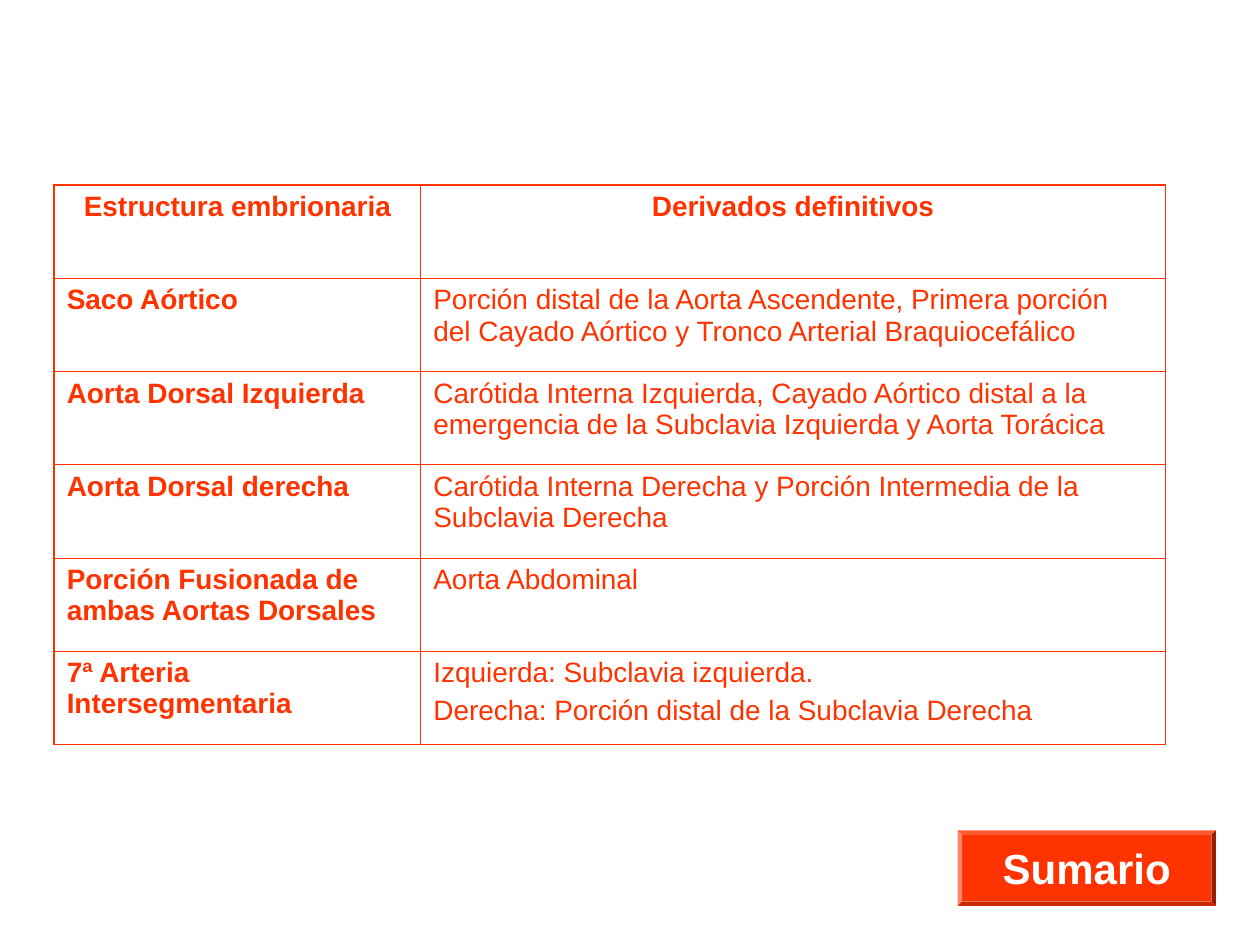
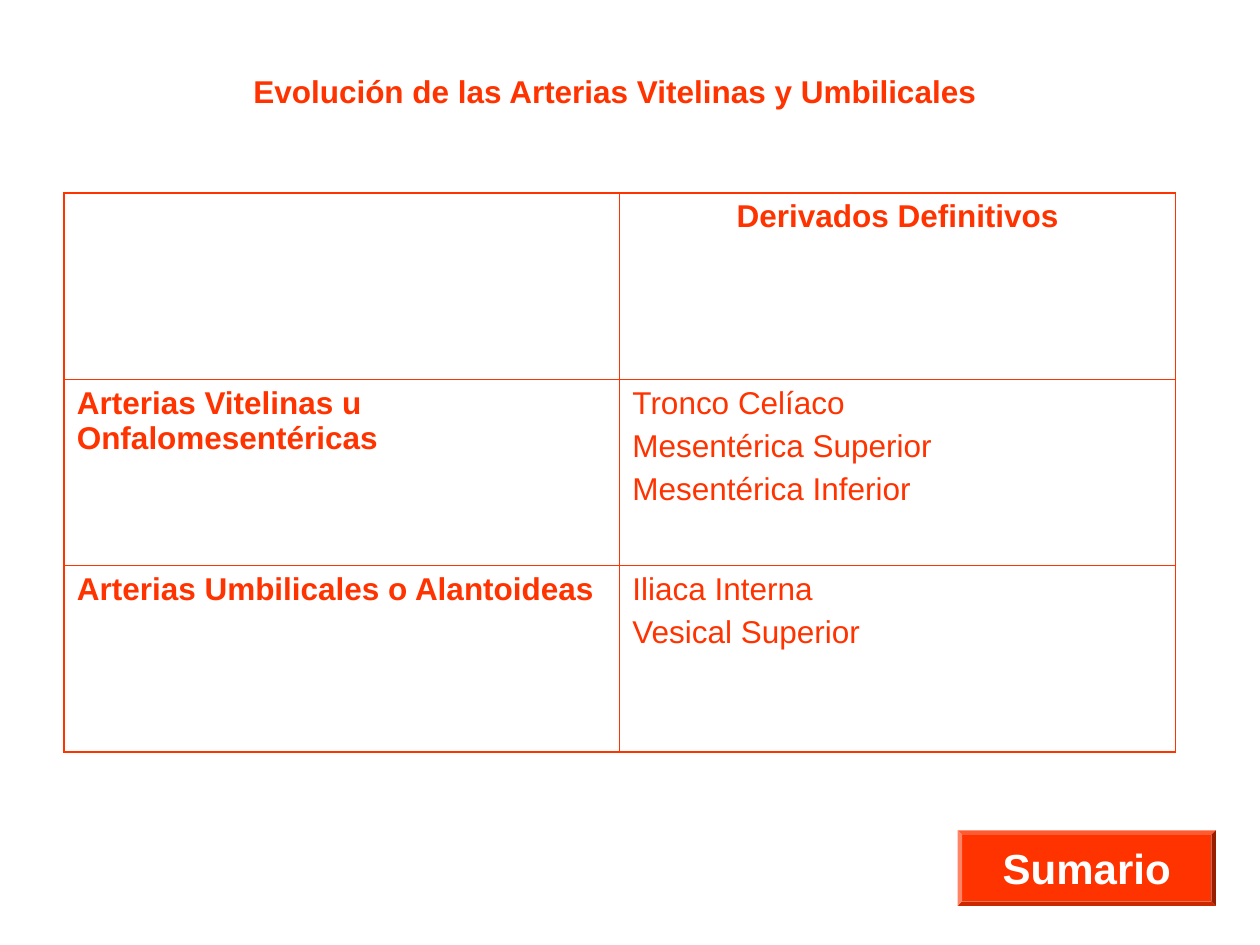
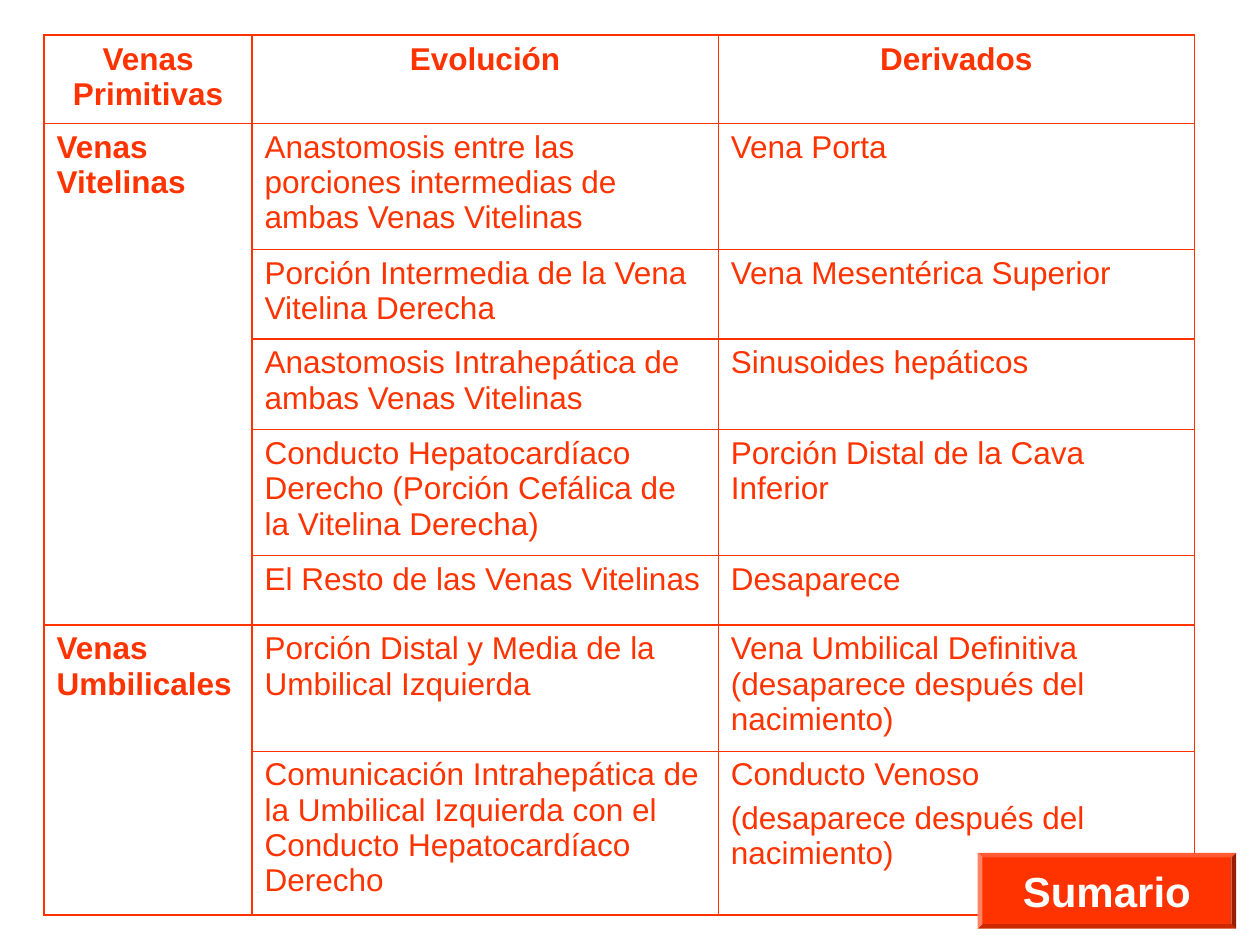
import pptx
import pptx.util
import pptx.dml.color
import pptx.enum.shapes
import pptx.enum.text
import pptx.oxml.ns
import lxml.etree

Inches = pptx.util.Inches
Pt = pptx.util.Pt
ALIGN = pptx.enum.text.PP_ALIGN

COLORS = {"red": "FF3300", "white": "FFFFFF"}
FONT = "Arial"
THIN, THICK = 0.75, 1.08

ARCHES = [
    ["Estructura embrionaria", "Derivados definitivos"],
    ["Saco Aórtico",
     "Porción distal de la Aorta Ascendente, Primera porción del Cayado "
     "Aórtico y Tronco Arterial Braquiocefálico"],
    ["Aorta Dorsal Izquierda",
     "Carótida Interna Izquierda, Cayado Aórtico distal a la emergencia "
     "de la Subclavia Izquierda y Aorta Torácica"],
    ["Aorta Dorsal derecha",
     "Carótida Interna Derecha y Porción Intermedia de la Subclavia Derecha"],
    ["Porción Fusionada de ambas Aortas Dorsales", "Aorta Abdominal"],
    ["7ª Arteria Intersegmentaria",
     "Izquierda: Subclavia izquierda.\n"
     "Derecha: Porción distal de la Subclavia Derecha"],
]

ARTERIES = [
    ["", "Derivados Definitivos"],
    ["Arterias Vitelinas u Onfalomesentéricas",
     "Tronco Celíaco\nMesentérica Superior\nMesentérica Inferior"],
    ["Arterias Umbilicales o Alantoideas", "Iliaca Interna\nVesical Superior"],
]

VEINS = [
    ["Venas Primitivas", "Evolución", "Derivados"],
    ["Venas Vitelinas",
     "Anastomosis entre las porciones intermedias de ambas Venas Vitelinas",
     "Vena Porta"],
    ["", "Porción Intermedia de la Vena Vitelina Derecha",
     "Vena Mesentérica Superior"],
    ["", "Anastomosis Intrahepática de ambas Venas Vitelinas",
     "Sinusoides hepáticos"],
    ["", "Conducto Hepatocardíaco Derecho (Porción Cefálica de la Vitelina "
     "Derecha)", "Porción Distal de la Cava Inferior"],
    ["", "El Resto de las Venas Vitelinas", "Desaparece"],
    ["Venas Umbilicales", "Porción Distal y Media de la Umbilical Izquierda",
     "Vena Umbilical Definitiva (desaparece después del nacimiento)"],
    ["", "Comunicación Intrahepática de la Umbilical Izquierda con el "
     "Conducto Hepatocardíaco Derecho",
     "Conducto Venoso\n(desaparece después del nacimiento)"],
]


def rgb(name):
    return pptx.dml.color.RGBColor.from_string(COLORS[name])


def write(frame, text, size, color="red", bold=False, align=None, gap=0):
    """Fill a text frame, one paragraph a line, with gaps between them."""
    for i, line in enumerate(text.split("\n")):
        para = frame.add_paragraph() if i else frame.paragraphs[0]
        para.text = line
        para.alignment = align
        if i:
            para.space_before = Pt(gap)
        font = para.font
        font.name, font.size, font.bold = FONT, Pt(size), bold
        font.color.rgb = rgb(color)


def border(cell, widths):
    """Draw the sides left, right, top, bottom; a width of 0 hides one."""
    props = cell._tc.get_or_add_tcPr()
    qn = pptx.oxml.ns.qn
    for side, width in zip("LRTB", widths):
        line = lxml.etree.SubElement(props, qn("a:ln" + side), w=str(Pt(width)))
        if width:
            fill = lxml.etree.SubElement(line, qn("a:solidFill"))
            lxml.etree.SubElement(fill, qn("a:srgbClr"), val=COLORS["red"])
        else:
            lxml.etree.SubElement(line, qn("a:noFill"))


def add_grid(slide, data, left, top, cols, rows, size, gap):
    """Add a table with bold heads; an empty head joins the one above."""
    frame = slide.shapes.add_table(
        len(rows), len(cols), Inches(left), Inches(top),
        Inches(sum(cols)), Inches(sum(rows)))
    table = frame.table
    table.first_row = table.horz_banding = False
    for col, width in zip(table.columns, cols):
        col.width = Inches(width)
    for row, height in zip(table.rows, rows):
        row.height = Inches(height)

    end = len(rows) - 1
    for r, texts in enumerate(data):
        for c, text in enumerate(texts):
            cell = table.cell(r, c)
            edges = (c == 0, c == len(cols) - 1, r == 0, r == end)
            widths = [THICK if edge else THIN for edge in edges]
            if r > 0 and not text:
                widths[2] = 0
            if r < end and not data[r + 1][c]:
                widths[3] = 0
            border(cell, widths)
            cell.fill.background()
            if text:
                write(cell.text_frame, text, size, bold=r == 0 or c == 0,
                      align=ALIGN.CENTER if r == 0 else ALIGN.LEFT, gap=gap)


def add_title(slide, text):
    box = slide.shapes.add_textbox(
        Inches(1.22), Inches(0.52), Inches(7.32), Inches(0.4))
    box.text_frame.word_wrap = True
    write(box.text_frame, text, 18, bold=True, align=ALIGN.CENTER)


def add_button(slide, left=7.6, top=6.59):
    shape = slide.shapes.add_shape(
        pptx.enum.shapes.MSO_SHAPE.BEVEL,
        Inches(left), Inches(top), Inches(2.05), Inches(0.6))
    shape.adjustments[0] = 0.06
    shape.shadow.inherit = False
    shape.fill.solid()
    shape.fill.fore_color.rgb = rgb("red")
    shape.line.fill.background()
    frame = shape.text_frame
    frame.word_wrap = False
    frame.vertical_anchor = pptx.enum.text.MSO_ANCHOR.MIDDLE
    write(frame, "Sumario", 24, "white", True, ALIGN.CENTER)


def main():
    deck = pptx.Presentation()
    deck.slide_width, deck.slide_height = Inches(10), Inches(7.5)
    blank = deck.slide_layouts[6]

    # Embryonic structures
    slide = deck.slides.add_slide(blank)
    add_grid(slide, ARCHES, 0.43, 1.47, [2.91, 5.91], [0.74] * 6, 16, 4)
    add_button(slide)

    # Vitelline and umbilical arteries
    slide = deck.slides.add_slide(blank)
    add_title(slide, "Evolución de las Arterias Vitelinas y Umbilicales")
    add_grid(slide, ARTERIES, 0.51, 1.53, [4.41] * 2, [1.48] * 3, 18, 4.5)
    add_button(slide)

    # Primitive veins
    slide = deck.slides.add_slide(blank)
    add_grid(slide, VEINS, 0.35, 0.28, [1.65, 3.7, 3.78],
             [0.7, 1, 0.71, 0.72, 1, 0.55, 1, 1.3], 18, 4.5)
    add_button(slide, 7.76, 6.77)

    deck.save("out.pptx")


if __name__ == "__main__":
    main()
